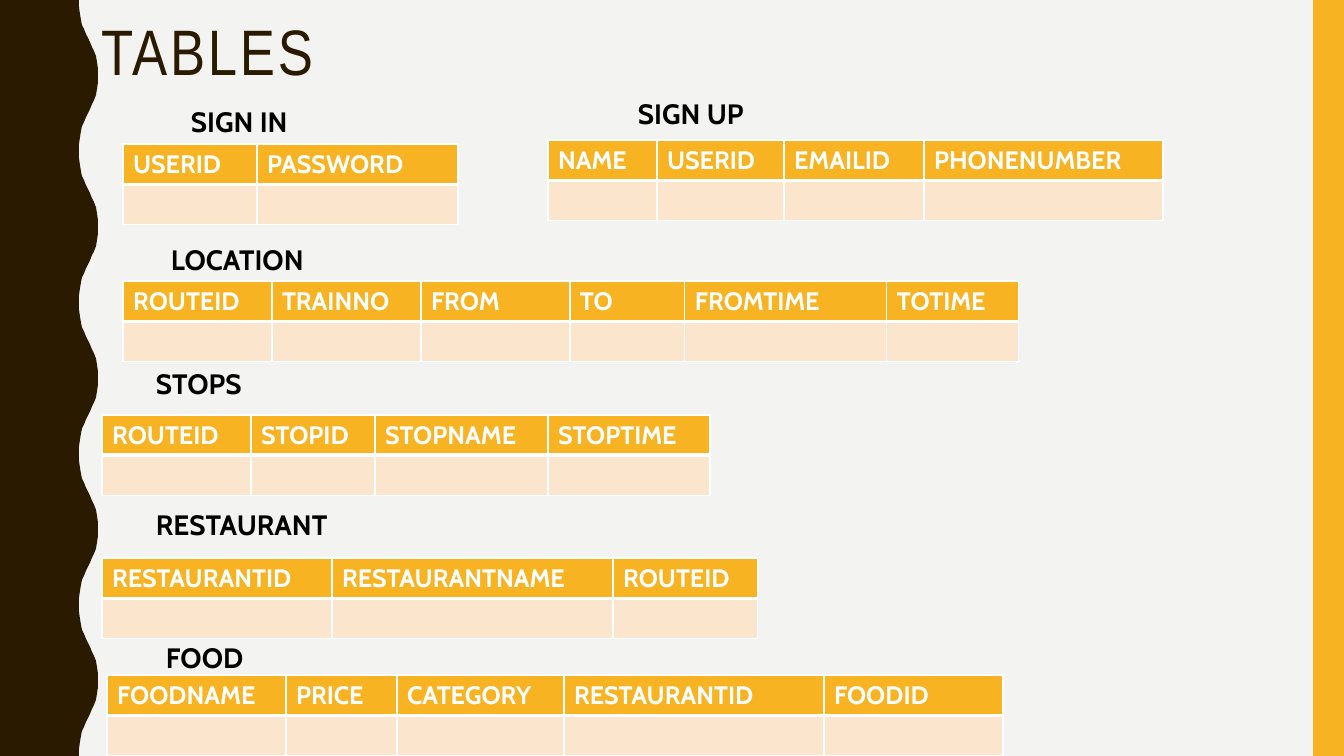
from dataclasses import dataclass

from lxml import etree
from pptx import Presentation
from pptx.dml.color import RGBColor
from pptx.enum.shapes import MSO_SHAPE
from pptx.enum.text import MSO_ANCHOR, PP_ALIGN
from pptx.oxml.ns import qn
from pptx.util import Pt

RECTANGLE = MSO_SHAPE.RECTANGLE
MIDDLE = MSO_ANCHOR.MIDDLE
LEFT = PP_ALIGN.LEFT

TITLE = "TABLES"
# name, name box (left, top, width), table (left, top), columns (heading, width)
TABLES = [
    ("SIGN IN", (181, 100, 165), (123, 144), [("USERID", 134), ("PASSWORD", 201)]),
    ("SIGN UP", (628, 92, 165), (548, 140),
     [("NAME", 109), ("USERID", 127), ("EMAILID", 140), ("PHONENUMBER", 239)]),
    ("LOCATION", (161, 238, 181), (123, 281),
     [("ROUTEID", 149), ("TRAINNO", 149), ("FROM", 149), ("TO", 115),
      ("FROMTIME", 202), ("TOTIME", 132)]),
    ("STOPS", (146, 362, 165), (102, 415),
     [("ROUTEID", 149), ("STOPID", 124), ("STOPNAME", 173), ("STOPTIME", 162)]),
    ("RESTAURANT", (146, 503, 236), (102, 558),
     [("RESTAURANTID", 230), ("RESTAURANTNAME", 281), ("ROUTEID", 145)]),
    ("FOOD", (156, 636, 181), (107, 675),
     [("FOODNAME", 179), ("PRICE", 111), ("CATEGORY", 167),
      ("RESTAURANTID", 260), ("FOODID", 179)]),
]


@dataclass(frozen=True)
class Theme:
    background: str = "F3F3F2"
    dark: str = "2A1A00"
    accent: str = "F8B323"
    body_cell: str = "FCE5CD"
    white: str = "FFFFFF"
    black: str = "000000"
    title_font: str = "Arial Narrow"
    text_font: str = "Cabin"
    title_size: float = 45.9
    name_size: int = 20
    cell_size: int = 18


THEME = Theme()
WIDTH, HEIGHT = 1344, 756
ROW_HEIGHT = 40
NAME_HEIGHT = 44
BAR_WIDTH = 31
# One swing of the wavy edge, from trough to crest: (x, distance down)
SWING = [(79, 0), (79, 7), (80, 14), (81, 20), (82, 25), (84, 29), (86, 34), (88, 38),
         (90, 42), (92, 47), (94, 51), (96, 56), (97, 62), (98, 69), (98, 75.6)]
SWINGS = 10


def px(length):
    return round(length * 914400 / 100.8)


def color(code):
    return RGBColor.from_string(code)


def paint(shape, code):
    shape.fill.solid()
    shape.fill.fore_color.rgb = color(code)
    shape.line.fill.background()
    shape.shadow.inherit = False


def style(paragraph, name, size, code, bold):
    font = paragraph.font
    font.name, font.size, font.bold = name, Pt(size), bold
    font.color.rgb = color(code)


def add_wave(slide):
    swing_height = HEIGHT / SWINGS
    points = []
    for index in range(SWINGS):
        top = index * swing_height
        if index % 2 == 0:
            points += [(x, top + y) for x, y in SWING]
        else:
            points += [(x, top + swing_height - y) for x, y in reversed(SWING)]
    points.append((0, HEIGHT))
    builder = slide.shapes.build_freeform(0, 0)
    builder.add_line_segments([(px(x), px(y)) for x, y in points], close=True)
    paint(builder.convert_to_shape(), THEME.dark)


def add_title(slide):
    title = slide.shapes.title
    title.left, title.top, title.width, title.height = px(91), px(15), px(1122), px(80)
    title.text_frame.text = TITLE
    title.text_frame.vertical_anchor = MIDDLE
    paragraph = title.text_frame.paragraphs[0]
    paragraph.alignment = LEFT
    paragraph.line_spacing = 0.9
    style(paragraph, THEME.title_font, THEME.title_size, THEME.dark, False)
    paragraph.runs[0].font._element.set("spc", "200")
    slide.shapes._spTree.append(title._element)


def add_name(slide, name, left, top, width):
    box = slide.shapes.add_textbox(px(left), px(top), px(width), px(NAME_HEIGHT))
    box.text_frame.word_wrap = True
    box.text_frame.text = name
    style(box.text_frame.paragraphs[0], THEME.text_font, THEME.name_size, THEME.black, True)


def set_borders(cell, top, bottom):
    """Draw white cell borders, 1 pt at the sides and as given above and below."""
    properties = cell._tc.get_or_add_tcPr()
    sides = [("a:lnL", 1), ("a:lnR", 1), ("a:lnT", top), ("a:lnB", bottom)]
    for position, (tag, points) in enumerate(sides):
        line = etree.Element(qn(tag), w=str(Pt(points)))
        fill = etree.SubElement(line, qn("a:solidFill"))
        etree.SubElement(fill, qn("a:srgbClr"), val=THEME.white)
        properties.insert(position, line)


def add_schema_table(slide, left, top, columns):
    total = sum(width for _, width in columns)
    table = slide.shapes.add_table(
        2, len(columns), px(left), px(top), px(total), px(2 * ROW_HEIGHT)).table
    rows = [(THEME.accent, 1, 3), (THEME.body_cell, 3, 1)]
    for index, (heading, width) in enumerate(columns):
        table.columns[index].width = px(width)
        table.cell(0, index).text = heading
        for row, (fill, above, below) in enumerate(rows):
            cell = table.cell(row, index)
            cell.fill.solid()
            cell.fill.fore_color.rgb = color(fill)
            set_borders(cell, above, below)
            style(cell.text_frame.paragraphs[0], THEME.text_font, THEME.cell_size,
                  THEME.white, True)


def main():
    presentation = Presentation()
    presentation.slide_width, presentation.slide_height = px(WIDTH), px(HEIGHT)
    slide = presentation.slides.add_slide(presentation.slide_layouts.get_by_name("Title Only"))
    slide.background.fill.solid()
    slide.background.fill.fore_color.rgb = color(THEME.background)
    add_wave(slide)
    bar = slide.shapes.add_shape(
        RECTANGLE, px(WIDTH - BAR_WIDTH), 0, px(BAR_WIDTH), px(HEIGHT))
    paint(bar, THEME.accent)
    add_title(slide)
    for name, name_box, corner, columns in TABLES:
        add_name(slide, name, *name_box)
        add_schema_table(slide, *corner, columns)
    presentation.save("out.pptx")


if __name__ == "__main__":
    main()
